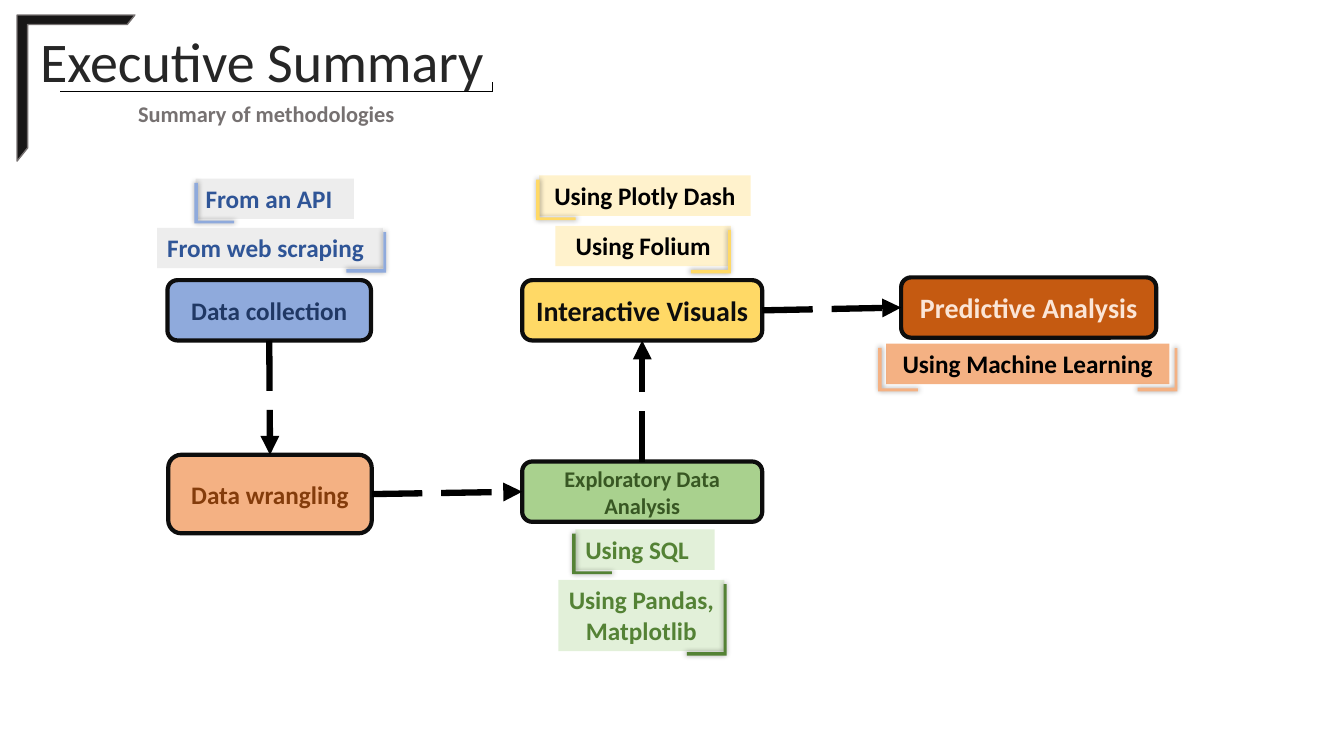
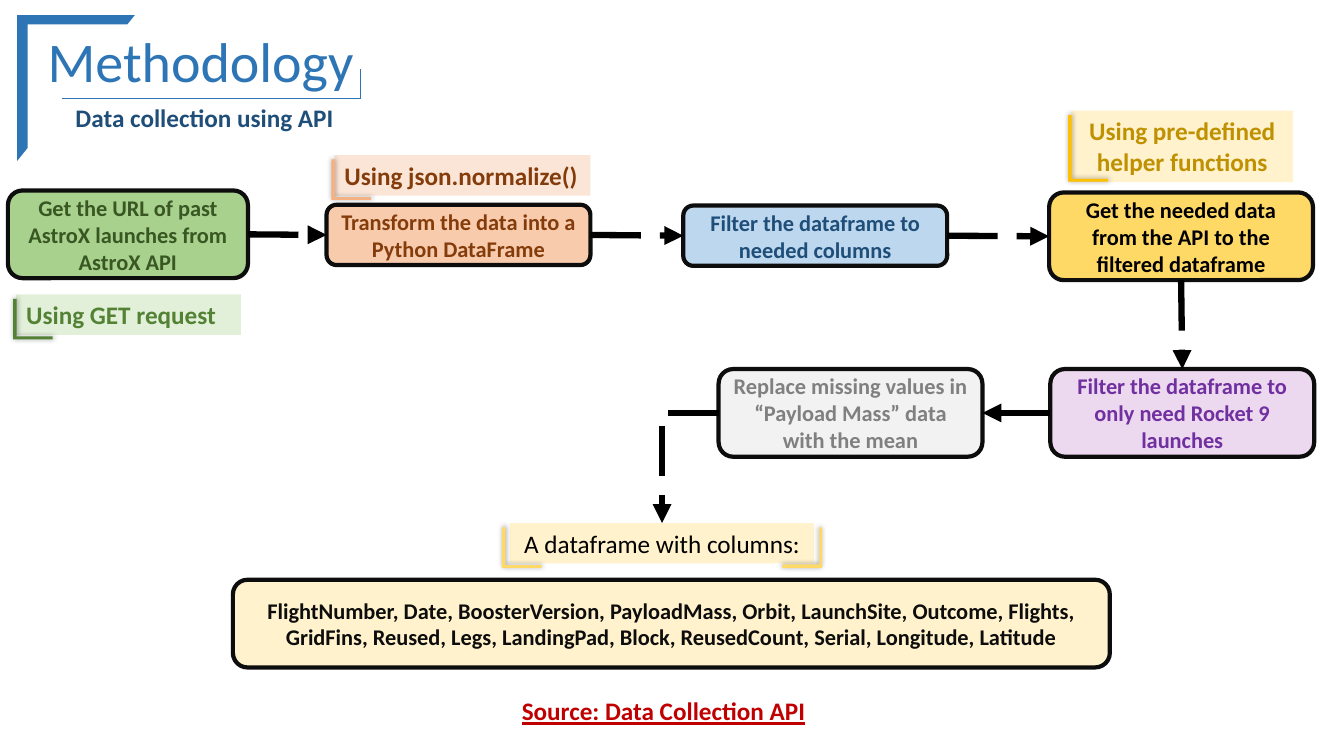
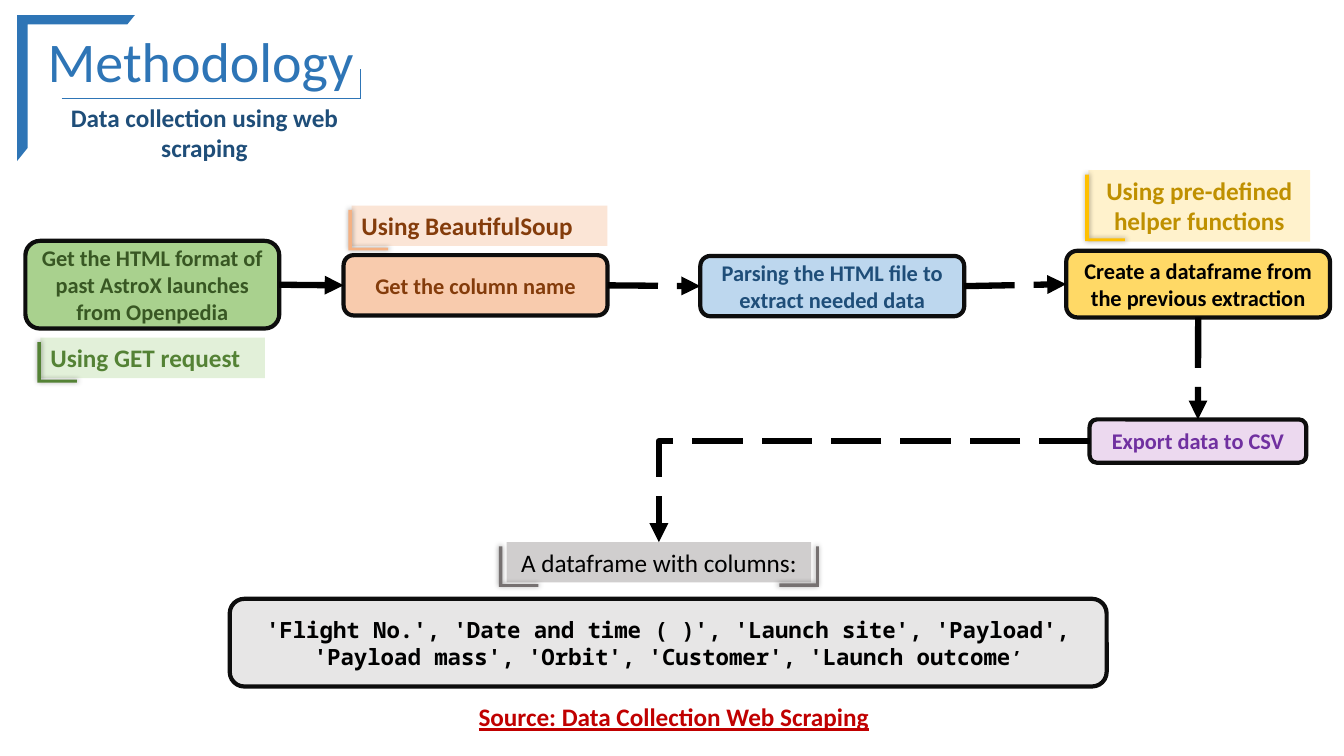
import pptx
import pptx.dml.color
import pptx.enum.dml
import pptx.enum.shapes
import pptx.enum.text
import pptx.oxml
import pptx.oxml.ns
import pptx.util

Cm = pptx.util.Cm
Pt = pptx.util.Pt
RGB = pptx.dml.color.RGBColor
SHAPE = pptx.enum.shapes.MSO_SHAPE
CONNECTOR = pptx.enum.shapes.MSO_CONNECTOR
ALIGN = pptx.enum.text.PP_ALIGN
ANCHOR = pptx.enum.text.MSO_ANCHOR
TOP, LEFT, BOTTOM, RIGHT = range(4)

BLACK = RGB(0x00, 0x00, 0x00)
INK = RGB(0x0D, 0x0D, 0x0D)
CHARCOAL = RGB(0x18, 0x17, 0x17)
TITLE_GREY = RGB(0x26, 0x26, 0x26)
GREY = RGB(0x76, 0x71, 0x71)
MID_GREY = RGB(0x80, 0x80, 0x80)
SILVER = RGB(0xD0, 0xCE, 0xCE)
LIGHT_GREY = RGB(0xE7, 0xE6, 0xE6)
PALE_GREY = RGB(0xED, 0xED, 0xED)
MIST = RGB(0xF2, 0xF2, 0xF2)
BLUE = RGB(0x2E, 0x75, 0xB6)
DARK_BLUE = RGB(0x1F, 0x4E, 0x79)
PALE_BLUE = RGB(0xBD, 0xD7, 0xEE)
INDIGO = RGB(0x2F, 0x55, 0x97)
DARK_INDIGO = RGB(0x20, 0x38, 0x64)
LIGHT_INDIGO = RGB(0x8F, 0xAA, 0xDC)
GREEN = RGB(0x54, 0x82, 0x35)
DARK_GREEN = RGB(0x38, 0x57, 0x23)
LIGHT_GREEN = RGB(0xA9, 0xD1, 0x8E)
PALE_GREEN = RGB(0xE2, 0xF0, 0xD9)
AMBER = RGB(0xFF, 0xC0, 0x00)
DARK_AMBER = RGB(0xBF, 0x90, 0x00)
YELLOW = RGB(0xFF, 0xD9, 0x66)
PALE_YELLOW = RGB(0xFF, 0xF2, 0xCC)
RUST = RGB(0xC5, 0x5A, 0x11)
BROWN = RGB(0x84, 0x3C, 0x0B)
ORANGE = RGB(0xF4, 0xB1, 0x83)
PEACH = RGB(0xF8, 0xCB, 0xAD)
PALE_PEACH = RGB(0xFB, 0xE5, 0xD6)
PURPLE = RGB(0x70, 0x30, 0xA0)
PALE_PURPLE = RGB(0xEC, 0xD9, 0xEF)
RED = RGB(0xC0, 0x00, 0x00)

BODY_FONT = "Calibri"
MONO_FONT = "Noto Sans Mono"
LABEL_HEIGHT = 1.02
BRACKET_WIDTH = 1.0

SUMMARY_HEADER = {
    "frame": CHARCOAL, "edge": GREY, "title": TITLE_GREY, "title_width": 12.34,
    "rule": BLACK, "rule_points": [(1.52, 2.31), (12.4, 2.31), (12.4, 2.06)],
    "subtitle": GREY, "subtitle_box": (3.23, 2.39, 7.44, 0.94),
    "subtitle_size": 16, "subtitle_align": ALIGN.LEFT,
}
METHOD_HEADER = {
    "frame": BLUE, "edge": None, "title": BLUE, "title_width": 9.25,
    "rule": BLUE, "rule_points": [(1.55, 2.49), (9.07, 2.49), (9.07, 1.75)],
    "subtitle": DARK_BLUE, "subtitle_box": (1.27, 2.46, 7.77, 1.02),
    "subtitle_size": 18, "subtitle_align": ALIGN.CENTER,
}


def lengths(*values):
    return [Cm(value) for value in values]


def format_font(font, color, size, **extra):
    values = {"name": BODY_FONT, "bold": True, "size": Pt(size), **extra}
    for name, value in values.items():
        setattr(font, name, value)
    font.color.rgb = color


def write(shape, text, color, size, align=ALIGN.CENTER, anchor=ANCHOR.TOP, **extra):
    """Fill a shape with text, one paragraph per line."""
    frame = shape.text_frame
    frame.text = text
    for name, value in {"word_wrap": True, "vertical_anchor": anchor}.items():
        setattr(frame, name, value)
    for paragraph in frame.paragraphs:
        paragraph.alignment = align
        for run in paragraph.runs:
            format_font(run.font, color, size, **extra)


def add_text(slide, box, text, color, size, **extra):
    write(slide.shapes.add_textbox(*lengths(*box)), text, color, size, **extra)


def add_filled(slide, kind, box, fill, line=None, width=1):
    shape = slide.shapes.add_shape(kind, *lengths(*box))
    shape.shadow.inherit = False
    shape.fill.solid()
    shape.fill.fore_color.rgb = fill
    if line is None:
        shape.line.fill.background()
    else:
        shape.line.color.rgb = line
        shape.line.width = Pt(width)
    return shape


def add_step(slide, box, text, fill, color, size=16, **extra):
    shape = add_filled(slide, SHAPE.ROUNDED_RECTANGLE, box, fill, INK, 3)
    write(shape, text, color, size, anchor=ANCHOR.MIDDLE, **extra)
    return shape


def add_bracket(slide, left, top, height, color, side):
    """Draw an L with a soft shadow; left and top are those of the L as seen."""
    box = (left, top, BRACKET_WIDTH, height)
    if side == "right":
        shift = (height - BRACKET_WIDTH) / 2
        box = (left - shift, top + shift, height, BRACKET_WIDTH)
    bracket = add_filled(slide, SHAPE.CORNER, box, color)
    bracket.rotation = 270 if side == "right" else 0
    bracket.adjustments[0] = 0.07
    bracket.adjustments[1] = 0.09
    angle = 225 if side == "right" else 315
    effects = bracket._element.spPr.find(pptx.oxml.ns.qn("a:effectLst"))
    effects.append(pptx.oxml.parse_xml(
        f'<a:outerShdw {pptx.oxml.ns.nsdecls("a")} blurRad="{Pt(4)}" '
        f'dist="{Pt(0.8)}" dir="{angle * 60000}" rotWithShape="0">'
        '<a:srgbClr val="000000"><a:alpha val="40000"/></a:srgbClr></a:outerShdw>'))


def add_label(slide, left, top, width, text, fill, color, bracket, sides=("left",),
              height=LABEL_HEIGHT, outset=0.08, bracket_height=None, **extra):
    label = add_filled(slide, SHAPE.RECTANGLE, (left, top, width, height), fill)
    write(label, text, color, 18, **extra)
    for side in sides:
        edge = left - outset if side == "left" else left + width + outset - BRACKET_WIDTH
        add_bracket(slide, edge, top + 0.11, bracket_height or height, bracket, side)
    return label


def style_line(connector, color, width):
    connector.line.color.rgb = color
    connector.line.width = Pt(width)
    connector._element.spPr.append(pptx.oxml.parse_xml(
        f'<a:effectLst {pptx.oxml.ns.nsdecls("a")}/>'))


def add_arrow(slide, start, start_side, end, end_side, kind=CONNECTOR.STRAIGHT):
    arrow = slide.shapes.add_connector(kind, 0, 0, 0, 0)
    arrow.begin_connect(start, start_side)
    arrow.end_connect(end, end_side)
    style_line(arrow, BLACK, 4.5)
    arrow.line.dash_style = pptx.enum.dml.MSO_LINE.LONG_DASH
    arrow.line._get_or_add_ln().append(pptx.oxml.parse_xml(
        f'<a:tailEnd {pptx.oxml.ns.nsdecls("a")} type="triangle"/>'))
    if kind == CONNECTOR.ELBOW:
        geometry = arrow._element.spPr.find(pptx.oxml.ns.qn("a:prstGeom"))
        geometry.set("prst", "bentConnector2")


def add_slide(presentation, title, subtitle, header):
    """Start a slide with the corner frame, title, rule and subtitle."""
    slide = presentation.slides.add_slide(presentation.slide_layouts[5])
    corner_frame = add_filled(slide, SHAPE.HALF_FRAME, (0.43, 0.38, 2.97, 3.68),
                              header["frame"], header["edge"])
    corner_frame.adjustments[0] = 0.08
    corner_frame.adjustments[1] = 0.09
    heading = slide.shapes.title
    place = zip(("left", "top", "width", "height"),
                lengths(0.43, 0.53, header["title_width"], 1.96))
    for name, value in place:
        setattr(heading, name, value)
    write(heading, title, header["title"], 40, bold=False)
    points = header["rule_points"]
    for start, end in zip(points, points[1:]):
        rule = slide.shapes.add_connector(CONNECTOR.STRAIGHT, *lengths(*start, *end))
        style_line(rule, header["rule"], 0.5)
    add_text(slide, header["subtitle_box"], subtitle, header["subtitle"],
             header["subtitle_size"], align=header["subtitle_align"])
    return slide


def add_result(slide, left, top, columns, fill, color, label_fill, bracket, **extra):
    """Add the box of column names and the label above it; return both."""
    box = add_step(slide, (left, top, 22.1, 2.21), columns, fill, color, **extra)
    label = add_label(slide, left + 6.98, top - 1.43, 7.67, "A dataframe with columns:",
                      label_fill, BLACK, bracket, ("left", "right"), outset=0.2,
                      bold=False)
    return box, label


def add_request_label(slide, left, top):
    add_label(slide, left, top, 5.66, "Using GET request", PALE_GREEN, GREEN, GREEN,
              align=ALIGN.LEFT)


def add_library_label(slide, left, top, text):
    add_label(slide, left, top, 6.45, text, PALE_PEACH, BROWN, ORANGE, align=ALIGN.LEFT)


def add_helper_label(slide, left, top):
    add_label(slide, left, top, 5.59, "Using pre-defined helper functions", PALE_YELLOW,
              DARK_AMBER, AMBER, height=1.8, bracket_height=1.68)


def add_flow(slide, first, second, third, fourth, fifth):
    """Link four steps in a row and the one below the last."""
    row = [first, second, third, fourth]
    for start, end in zip(row, row[1:]):
        add_arrow(slide, start, RIGHT, end, LEFT)
    add_arrow(slide, fourth, BOTTOM, fifth, TOP)


def build_summary(presentation):
    slide = add_slide(presentation, "Executive Summary", "Summary of methodologies",
                      SUMMARY_HEADER)
    add_label(slide, 14, 5.69, 4.42, "Using Folium", PALE_YELLOW, BLACK, YELLOW,
              ("right",), outset=0, bracket_height=1.09)
    add_label(slide, 13.59, 4.42, 5.33, "Using Plotly Dash", PALE_YELLOW, BLACK, YELLOW)
    add_label(slide, 4.93, 4.5, 3.99, "From an API", PALE_GREY, INDIGO, LIGHT_INDIGO,
              align=ALIGN.LEFT, outset=0.03)
    add_label(slide, 3.96, 5.74, 5.69, "From web scraping", PALE_GREY, INDIGO,
              LIGHT_INDIGO, ("right",), align=ALIGN.LEFT)
    add_label(slide, 14.5, 13.34, 3.51, "Using SQL", PALE_GREEN, GREEN, GREEN,
              align=ALIGN.LEFT)
    add_label(slide, 14.07, 14.61, 4.19, "Using Pandas,\nMatplotlib", PALE_GREEN, GREEN,
              GREEN, ("right",), height=1.8, outset=0.05)
    add_label(slide, 22.33, 8.66, 7.14, "Using Machine Learning", ORANGE, BLACK, ORANGE,
              ("left", "right"), outset=0.2, bracket_height=1.09)
    collection = add_step(slide, (4.22, 7.06, 5.13, 1.52), "Data collection",
                          LIGHT_INDIGO, DARK_INDIGO, 18)
    wrangling = add_step(slide, (4.24, 11.46, 5.13, 1.98), "Data wrangling",
                         ORANGE, BROWN, 18)
    exploration = add_step(slide, (13.16, 11.63, 6.05, 1.52),
                           "Exploratory Data Analysis", LIGHT_GREEN, DARK_GREEN)
    visuals = add_step(slide, (13.16, 7.06, 6.05, 1.52), "Interactive Visuals",
                       YELLOW, INK, 20)
    prediction = add_step(slide, (22.71, 6.99, 6.43, 1.52), "Predictive Analysis",
                          RUST, PALE_PEACH, 20)
    add_arrow(slide, collection, BOTTOM, wrangling, TOP)
    add_arrow(slide, wrangling, RIGHT, exploration, LEFT)
    add_arrow(slide, exploration, TOP, visuals, BOTTOM)
    add_arrow(slide, visuals, RIGHT, prediction, LEFT)


def build_api_method(presentation):
    slide = add_slide(presentation, "Methodology", "Data collection using API",
                      METHOD_HEADER)
    add_request_label(slide, 0.41, 7.42)
    add_library_label(slide, 8.43, 3.91, "Using json.normalize()")
    add_helper_label(slide, 27, 2.79)
    request = add_step(slide, (0.2, 4.8, 6.05, 2.21),
                       "Get the URL of past AstroX launches from AstroX API",
                       LIGHT_GREEN, DARK_GREEN)
    transform = add_step(slide, (8.23, 5.16, 6.65, 1.52),
                         "Transform the data into a Python DataFrame", PEACH, BROWN)
    select = add_step(slide, (17.22, 5.18, 6.65, 1.52),
                      "Filter the dataframe to needed columns", PALE_BLUE, DARK_BLUE)
    enrich = add_step(slide, (26.44, 4.85, 6.65, 2.21),
                      "Get the needed data from the API to the filtered dataframe",
                      YELLOW, BLACK)
    launches = add_step(slide, (26.47, 9.3, 6.65, 2.21),
                        "Filter the dataframe to only need Rocket 9 launches",
                        PALE_PURPLE, PURPLE)
    replace = add_step(slide, (18.11, 9.3, 6.65, 2.21),
                       "Replace missing values in “Payload Mass” data with the mean",
                       MIST, MID_GREY)
    _, label = add_result(
        slide, 5.87, 14.61,
        "FlightNumber, Date, BoosterVersion, PayloadMass, Orbit, LaunchSite, Outcome, "
        "Flights, GridFins, Reused, Legs, LandingPad, Block, ReusedCount, Serial, "
        "Longitude, Latitude", PALE_YELLOW, INK, PALE_YELLOW, YELLOW)
    add_flow(slide, request, transform, select, enrich, launches)
    add_arrow(slide, launches, LEFT, replace, RIGHT)
    add_arrow(slide, replace, LEFT, label, TOP, CONNECTOR.ELBOW)
    add_text(slide, (12.9, 17.4, 8.05, 1.02), "Source: Data Collection API", RED, 18,
             align=ALIGN.LEFT, underline=True)


def build_scraping_method(presentation):
    slide = add_slide(presentation, "Methodology", "Data collection using web scraping",
                      METHOD_HEADER)
    add_request_label(slide, 1.02, 8.51)
    add_library_label(slide, 8.86, 5.18, "Using BeautifulSoup")
    add_helper_label(slide, 27.43, 4.29)
    request = add_step(slide, (0.64, 6.07, 6.4, 2.21),
                       "Get the HTML format of past AstroX launches from Openpedia",
                       LIGHT_GREEN, DARK_GREEN)
    names = add_step(slide, (8.66, 6.43, 6.65, 1.52), "Get the column name",
                     PEACH, BROWN)
    parsing = add_step(slide, (17.65, 6.45, 6.65, 1.52),
                       "Parsing the HTML file to extract needed data",
                       PALE_BLUE, DARK_BLUE)
    create = add_step(slide, (26.87, 6.32, 6.65, 1.68),
                      "Create a dataframe from the previous extraction", YELLOW, BLACK)
    export = add_step(slide, (27.46, 10.57, 5.46, 1.09), "Export data to CSV",
                      PALE_PURPLE, PURPLE)
    columns, label = add_result(
        slide, 5.79, 15.09,
        "'Flight No.', 'Date and time ( )', 'Launch site', 'Payload', 'Payload mass', "
        "'Orbit', 'Customer', 'Launch outcome", LIGHT_GREY, BLACK, SILVER, GREY,
        name=MONO_FONT)
    closing_quote = columns.text_frame.paragraphs[0].add_run()
    closing_quote.text = "’"
    format_font(closing_quote.font, BLACK, 14, name=MONO_FONT)
    add_flow(slide, request, names, parsing, create, export)
    add_arrow(slide, export, LEFT, label, TOP, CONNECTOR.ELBOW)
    add_text(slide, (11.81, 17.55, 10.54, 1.02), "Source: Data Collection Web Scraping",
             RED, 18, align=ALIGN.LEFT, underline=True)


def main():
    presentation = pptx.Presentation()
    presentation.slide_width = Cm(33.87)
    presentation.slide_height = Cm(19.05)
    build_summary(presentation)
    build_api_method(presentation)
    build_scraping_method(presentation)
    presentation.save("out.pptx")


if __name__ == "__main__":
    main()
